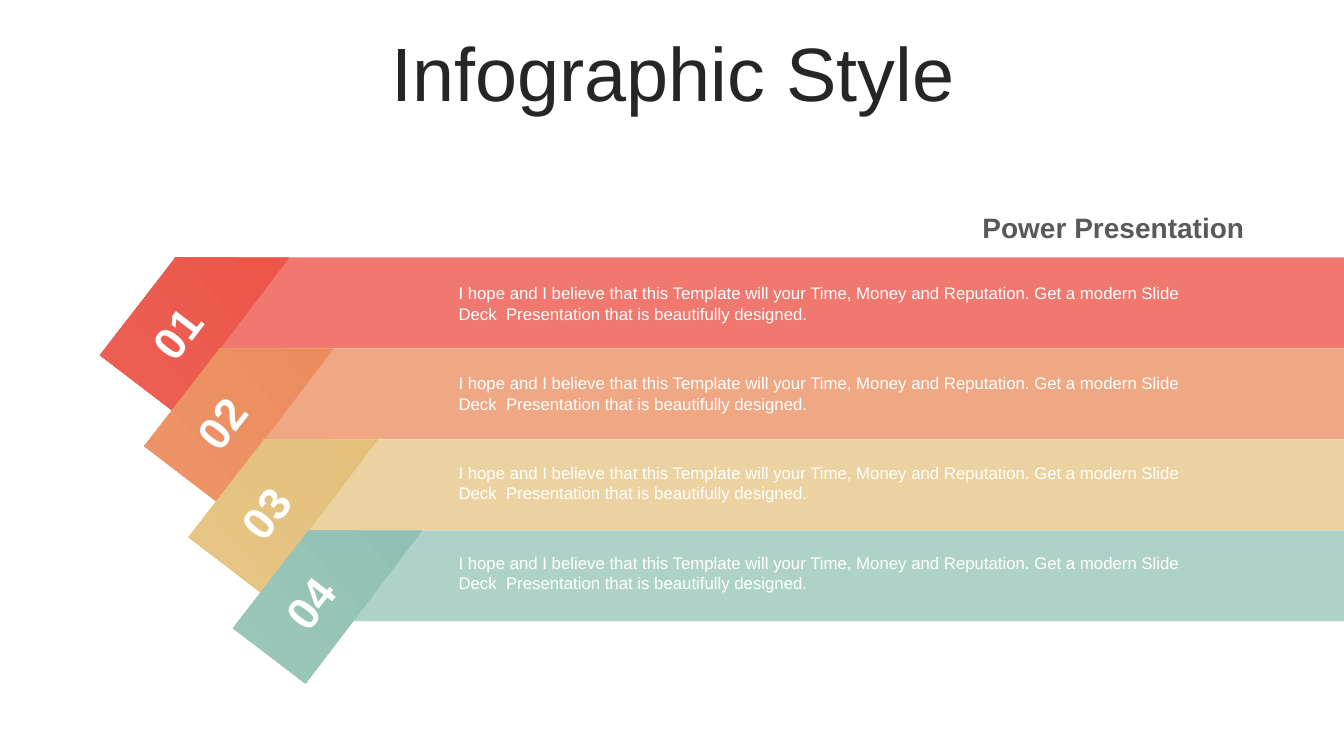
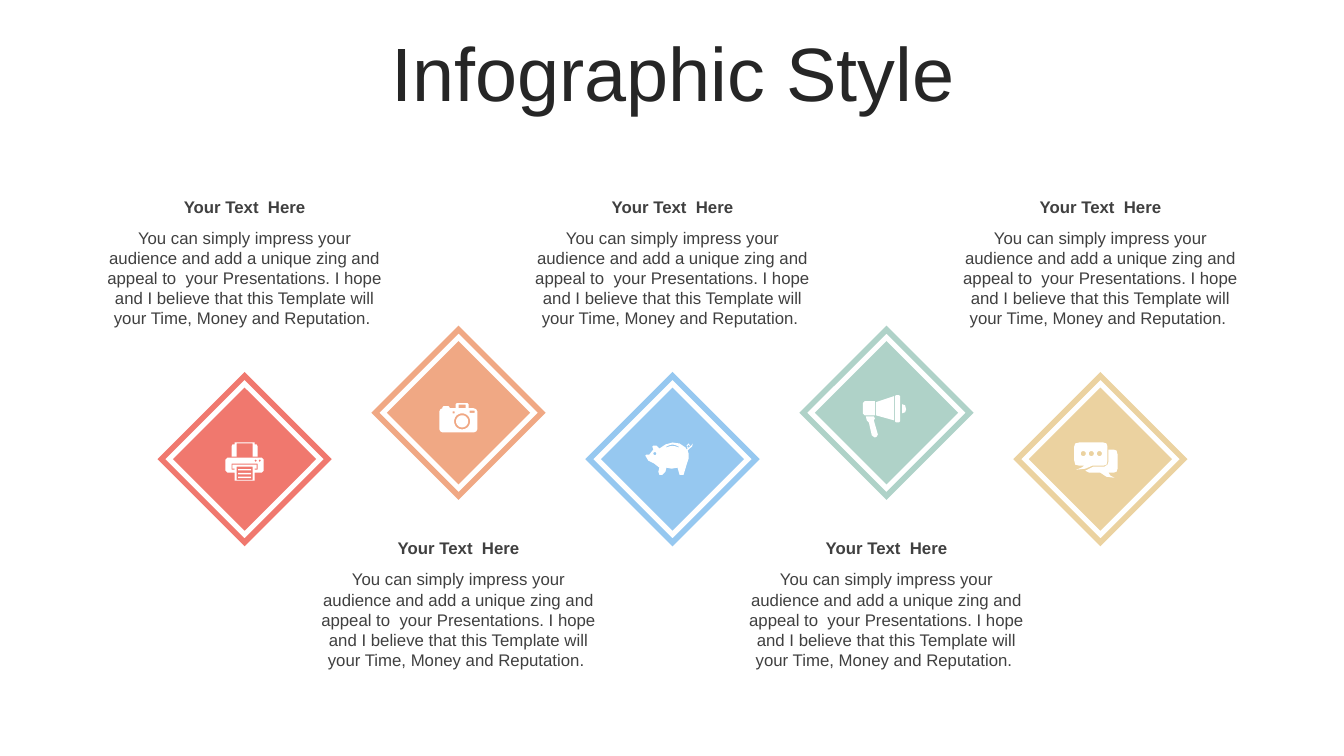
from math import cos, pi, sin

from lxml.etree import SubElement as Sub
from pptx import Presentation
from pptx.dml.color import RGBColor as RGB
from pptx.enum.shapes import MSO_SHAPE as Kind
from pptx.enum.text import MSO_ANCHOR as Anchor, PP_ALIGN as Align
from pptx.oxml.ns import qn
from pptx.util import Inches, Pt

INK = {
    "red": "F0786E", "orange": "F0A884", "sand": "EBD2A0", "mint": "AFD2C8",
    "blue": "96C8F0", "white": "FFFFFF", "title": "262626", "head": "595959",
    "body": "404040",
}
SHADE = {
    "red": ("EC5548", "ED6055"), "orange": ("EB8C5C", "ED9569"),
    "sand": ("E3BF79", "E6C686"), "mint": ("91C1B4", "9BC7BA"),
}
PITCH = ("I hope and I believe that this Template will your Time, Money and "
         "Reputation. Get a modern Slide Deck  Presentation that is "
         "beautifully designed.")
BLURB = ("You can simply impress your audience and add a unique zing and "
         "appeal to  your Presentations. I hope and I believe that this "
         "Template will your Time, Money and Reputation. ")


def rect(x, y, w, h):
    return [(x, y), (x + w, y), (x + w, y + h), (x, y + h)]


def disc(x, y, r, steps=24):
    turns = [2 * pi * i / steps for i in range(steps)]
    return [(x + r * cos(t), y + r * sin(t)) for t in turns]


TAG = [[(0, 97), (72, 152), (188, 0), (75, 0)]]

PRINTER = [
    [(0, 17), (2, 15), (36, 15), (38, 17), (38, 28), (36, 30), (29, 30),
     (29, 38), (9, 38), (9, 30), (2, 30), (0, 28)],
    [(9, 0), (29, 0), (29, 2), (31, 2), (32, 4), (32, 14), (27, 14), (27, 1),
     (11, 1), (11, 14), (6, 14), (6, 4), (7, 2), (9, 2)],
    [(6, 21), (32, 21), (32, 27), (29, 27), (29, 26), (31, 26), (31, 22),
     (7, 22), (7, 26), (9, 26), (9, 27), (6, 27)],
    rect(11, 24, 16, 13),
    *[rect(12.5, y, 13, 1.4) for y in (26.4, 30.2, 34)],
    *[disc(x, 18, 1) for x in (30, 34)],
]
CAMERA = [
    [(3, 5), (3, 4), (4, 3), (9, 3), (10, 4), (10, 5), (16, 5), (16, 1),
     (17, 0), (28, 0), (29, 1), (29, 5), (34, 5), (36.5, 6), (37.5, 8),
     (37.5, 26), (36.5, 28), (34, 29), (3, 29), (1, 28), (0, 26), (0, 8),
     (1, 6)],
    disc(22.5, 18, 8), disc(22.5, 18, 6),
    rect(13, 8, 2, 2), rect(30, 7.5, 5, 2), rect(19, 1.3, 7, 3.7),
]
PIG = [
    [(27, 0), (34, 1), (40, 5), (41, 7), (42, 6), (41, 3), (43, 1), (45, 4),
     (47, 1), (46.5, 4), (44, 6), (42, 8), (43, 11), (43, 16), (41, 22),
     (38, 32), (34, 32), (32, 25), (26, 26), (21, 25), (20, 29), (17, 32),
     (14, 32), (13, 29), (14, 25), (9, 21), (3, 18), (0, 13), (1, 12),
     (4, 12), (8, 7), (7, 4), (8, 3), (11, 3), (14, 6), (20, 2)],
    [(21, 4), (24, 2.6), (27, 2), (30, 2.6), (33, 4), (33, 5), (30, 3.8),
     (27, 3.4), (24, 3.8), (21, 5)],
    disc(9.5, 11, 1.5), disc(43, 3.8, 1.2),
]
HORN = [
    [(3, 21), (11, 21), (12, 23), (11, 25), (15, 39), (14, 41), (12, 42),
     (9, 40), (6, 27), (4, 25)],
    [(39, 9), (42, 10), (43, 14), (42, 17), (39, 18)],
    [(2, 6), (12, 6), (12, 20), (2, 20), (0, 18), (0, 8)],
    [(31, 1), (31, 25), (13, 20), (13, 7)],
    [(33, 0), (36, 0), (37, 1), (37, 26), (36, 27), (33, 27), (32, 26),
     (32, 1)],
]
CHAT = [
    [(5, 0), (29, 0), (32, 1), (33, 4), (33, 18), (32, 22), (29, 23),
     (18, 23), (11, 26), (2, 27), (7, 25), (10, 23), (5, 23), (1, 22),
     (0, 18), (0, 4), (1, 1)],
    [(34, 7), (39, 7), (42, 8), (43, 12), (43, 26), (42, 29), (39, 30),
     (34, 30), (36, 33), (40, 35), (32, 34), (26, 30), (15, 30), (11, 28),
     (19, 24), (30, 24), (33, 22), (34, 19)],
    *[disc(x, 11, 2.5) for x in (9, 17, 25)],
]


class Deck:
    font = "Arial"

    def __init__(self):
        self.file = Presentation()
        self.file.slide_width = Inches(13.33)
        self.file.slide_height = Inches(7.5)
        self.page = None

    def spot(self, x, y):
        return (int(self.file.slide_width * x / 100),
                int(self.file.slide_height * y / 100))

    def area(self, x, y, w, h):
        return *self.spot(x, y), *self.spot(w, h)

    def start(self, title):
        self.page = self.file.slides.add_slide(self.file.slide_layouts[6])
        box = self.text(title, (2.6, 4.93, 94.95, 10.53), 54, "title",
                        Align.CENTER)
        box.text_frame.vertical_anchor = Anchor.MIDDLE
        para = box.text_frame.paragraphs[0]
        para.line_spacing = 0.9
        para.space_before = Pt(10)

    def text(self, words, area, size, ink, align=Align.LEFT, bold=False):
        box = self.page.shapes.add_textbox(*self.area(*area))
        box.text_frame.word_wrap = True
        para = box.text_frame.paragraphs[0]
        para.text = words
        para.alignment = align
        font = para.runs[0].font
        font.name = self.font
        font.size = Pt(size)
        font.bold = bold
        font.color.rgb = RGB.from_string(INK[ink])
        return box

    def paint(self, shape, ink):
        shape.shadow.inherit = False
        shape.line.fill.background()
        shape.fill.solid()
        shape.fill.fore_color.rgb = RGB.from_string(INK[ink])

    def shape(self, kind, area, ink):
        shape = self.page.shapes.add_shape(kind, *self.area(*area))
        self.paint(shape, ink)
        return shape

    def draw(self, paths, x, y, ink="white", shift=(0, 0)):
        paths = [[(px * 10, py * 10) for px, py in path] for path in paths]
        pen = self.page.shapes.build_freeform(*paths[0][0],
                                              scale=Inches(1) / 1000)
        pen.add_line_segments(paths[0][1:])
        for path in paths[1:]:
            pen.move_to(*path[0])
            pen.add_line_segments(path[1:])
        left, top = self.spot(x, y)
        shape = pen.convert_to_shape(left + Inches(shift[0] / 100),
                                     top + Inches(shift[1] / 100))
        self.paint(shape, ink)
        return shape

    def tag(self, x, y, ink):
        fill = self.draw(TAG, x, y, ink).fill
        fill.gradient()
        fill.gradient_angle = 220
        for stop, tone in zip(fill.gradient_stops, SHADE[ink]):
            stop.color.rgb = RGB.from_string(tone)

    def band(self, row, ink):
        x, y = 3.3 * row, 34.05 + 12.04 * row
        self.shape(Kind.RECTANGLE, (12.97 + x, y, 87.03 - x, 12), ink)
        self.tag(7.43 + x, y, ink)
        drop = 11.9 * row
        mark = self.text(f"{row + 1:02}", (9.15 + x, 39.75 + drop, 7.95, 8.5),
                         32, "white", Align.CENTER, True)
        mark.rotation = 307.5
        self.text(PITCH, (33.38, 36.8 + drop, 55.58, 6.7), 12, "white")

    def diamond(self, x, y, size, ink):
        tall = size * 16 / 9
        return self.shape(Kind.DIAMOND,
                          (x - size / 2, y - tall / 2, size, tall), ink)

    def badge(self, x, y, ink, icon, shift):
        self.diamond(x, y, 10.65, ink)
        ring = self.diamond(x, y, 12.38, ink)
        ring.fill.background()
        ring.line.color.rgb = RGB.from_string(INK[ink])
        ring.line.width = Pt(4)
        edge = ring.element.spPr.find(qn("a:ln"))
        Sub(edge, qn("a:miter"), lim="800000")
        self.draw(icon, x, y, shift=shift)

    def note(self, x, y):
        wide = 22.65
        left = x - wide / 2
        self.text("Your Text  Here", (left, y, wide, 4), 12, "body",
                  Align.CENTER, True)
        self.text(BLURB, (left, y + 4.1, wide, 14.8), 12, "body",
                  Align.CENTER)


def main():
    deck = Deck()
    deck.start("Infographic Style")
    for row, ink in enumerate(SHADE):
        deck.band(row, ink)
    head = deck.text("Power Presentation", (72.08, 27.2, 20.5, 5.87), 20,
                     "head", Align.RIGHT, True)
    head.text_frame.margin_right = 0

    deck.start("Infographic Style")
    badges = [
        ("red", PRINTER, (-19, -16.5)), ("orange", CAMERA, (-19, -9.5)),
        ("blue", PIG, (-27, -16.5)), ("mint", HORN, (-23.5, -17.5)),
        ("sand", CHAT, (-26, -16.5)),
    ]
    for col, (ink, icon, shift) in enumerate(badges):
        x = 18.2 + 15.92 * col
        high = col % 2
        deck.badge(x, 54.6 if high else 60.73, ink, icon, shift)
        deck.note(x, 70.53 if high else 25.33)
    deck.file.save("out.pptx")


if __name__ == "__main__":
    main()
